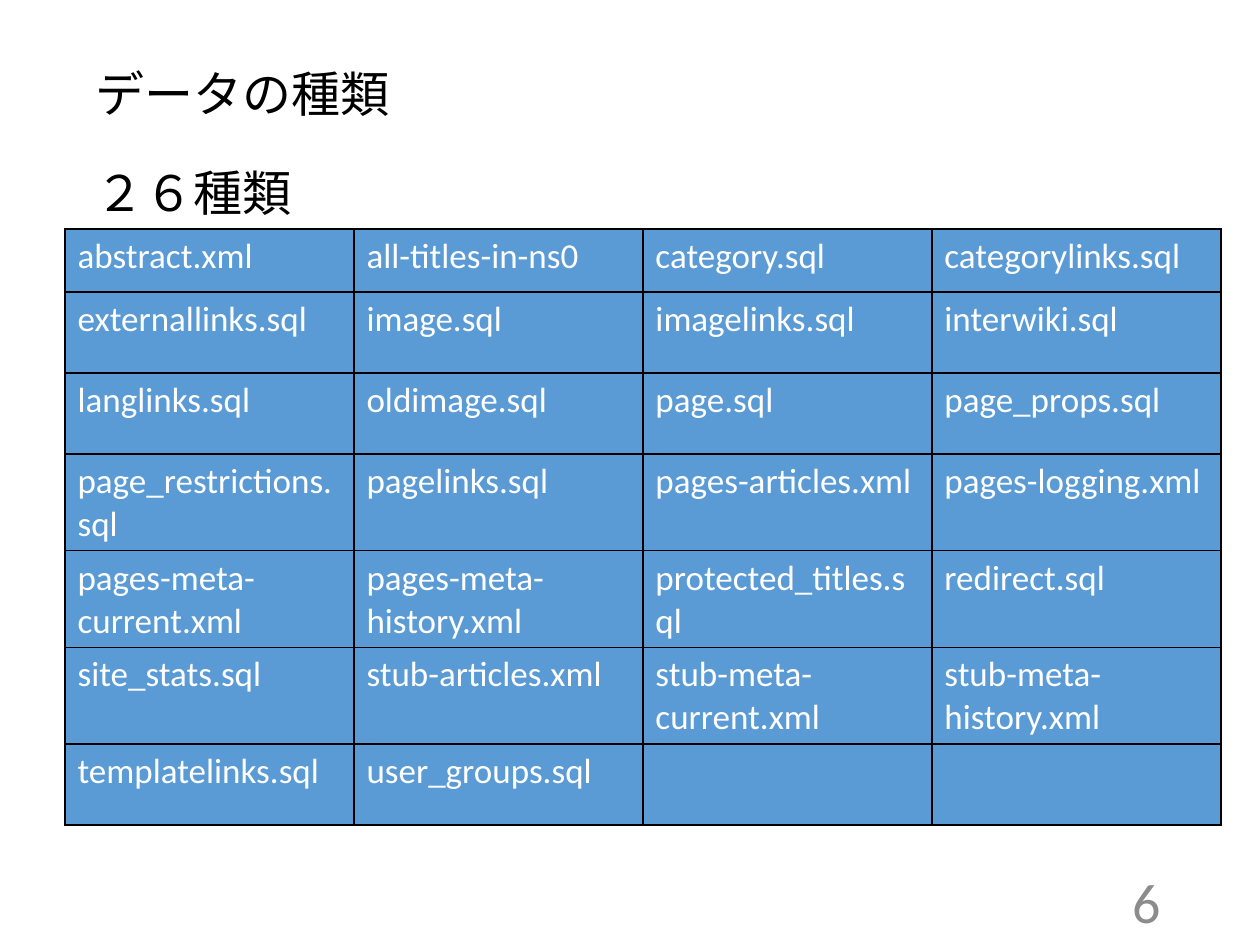
from lxml import etree
from pptx import Presentation
from pptx.dml.color import RGBColor
from pptx.enum.text import MSO_ANCHOR, MSO_AUTO_SIZE, PP_ALIGN
from pptx.oxml.ns import qn
from pptx.util import Emu, Inches, Pt

LEFT, RIGHT = PP_ALIGN.LEFT, PP_ALIGN.RIGHT
TOP, MIDDLE = MSO_ANCHOR.TOP, MSO_ANCHOR.MIDDLE
GROW = MSO_AUTO_SIZE.SHAPE_TO_FIT_TEXT
NO_FIT = MSO_AUTO_SIZE.NONE

FONT = "Calibri"
COLORS = {"text": "000000", "number": "8C8C8C", "cell": "5B9BD5",
          "cell_text": "FFFFFF", "border": "000000"}

TITLE = "データの種類"
COUNT = "２６種類"
PAGE_NUMBER = "6"
FILES = [
    "abstract.xml", "all-titles-in-ns0", "category.sql", "categorylinks.sql",
    "externallinks.sql", "image.sql", "imagelinks.sql", "interwiki.sql",
    "langlinks.sql", "oldimage.sql", "page.sql", "page_props.sql",
    "page_restrictions.sql", "pagelinks.sql", "pages-articles.xml", "pages-logging.xml",
    "pages-meta-current.xml", "pages-meta-history.xml", "protected_titles.sql", "redirect.sql",
    "site_stats.sql", "stub-articles.xml", "stub-meta-current.xml", "stub-meta-history.xml",
    "templatelinks.sql", "user_groups.sql",
]
COLUMNS = 4
COLUMN_WIDTH = 289
ROW_HEIGHTS = [63] + [81] * 6


def px(length):
    return Emu(round(length * 914400 / 126))


def style(paragraph, size, color):
    paragraph.font.name = FONT
    paragraph.font.size = Pt(size)
    paragraph.font.color.rgb = RGBColor.from_string(COLORS[color])


def write(shape, box, text, size, color, align=LEFT, anchor=TOP, fit=GROW):
    shape.left, shape.top, shape.width, shape.height = map(px, box)
    frame = shape.text_frame
    frame.text = text
    frame.word_wrap = True
    frame.auto_size = fit
    frame.vertical_anchor = anchor
    paragraph = frame.paragraphs[0]
    paragraph.alignment = align
    style(paragraph, size, color)


def add_borders(cell):
    properties = cell._tc.get_or_add_tcPr()
    for index, side in enumerate(("lnL", "lnR", "lnT", "lnB")):
        line = etree.Element(qn(f"a:{side}"), w=str(Pt(1)))
        fill = etree.SubElement(line, qn("a:solidFill"))
        etree.SubElement(fill, qn("a:srgbClr"), val=COLORS["border"])
        properties.insert(index, line)


def add_file_table(slide):
    frame = slide.shapes.add_table(len(ROW_HEIGHTS), COLUMNS, px(65), px(229),
                                   px(COLUMN_WIDTH * COLUMNS), px(sum(ROW_HEIGHTS)))
    table = frame.table
    table.first_row = False
    table.horz_banding = False
    for column in table.columns:
        column.width = px(COLUMN_WIDTH)
    for row, height in zip(table.rows, ROW_HEIGHTS):
        row.height = px(height)
    for index, cell in enumerate(table.iter_cells()):
        cell.fill.solid()
        cell.fill.fore_color.rgb = RGBColor.from_string(COLORS["cell"])
        add_borders(cell)
        if index < len(FILES):
            cell.text = FILES[index]
            style(cell.text_frame.paragraphs[0], 20, "cell_text")


def main():
    presentation = Presentation()
    presentation.slide_width, presentation.slide_height = Inches(10), Inches(7.5)
    slide = presentation.slides.add_slide(presentation.slide_layouts[5])

    write(slide.shapes.title, (83, 57, 546, 72), TITLE, 28, "text")
    count = slide.shapes.add_textbox(0, 0, 0, 0)
    write(count, (83, 156, 244, 72), COUNT, 28, "text")
    add_file_table(slide)
    number = slide.shapes.add_textbox(0, 0, 0, 0)
    write(number, (890, 876, 283, 50), PAGE_NUMBER, 32, "number", RIGHT, MIDDLE, NO_FIT)

    presentation.save("out.pptx")


if __name__ == "__main__":
    main()
